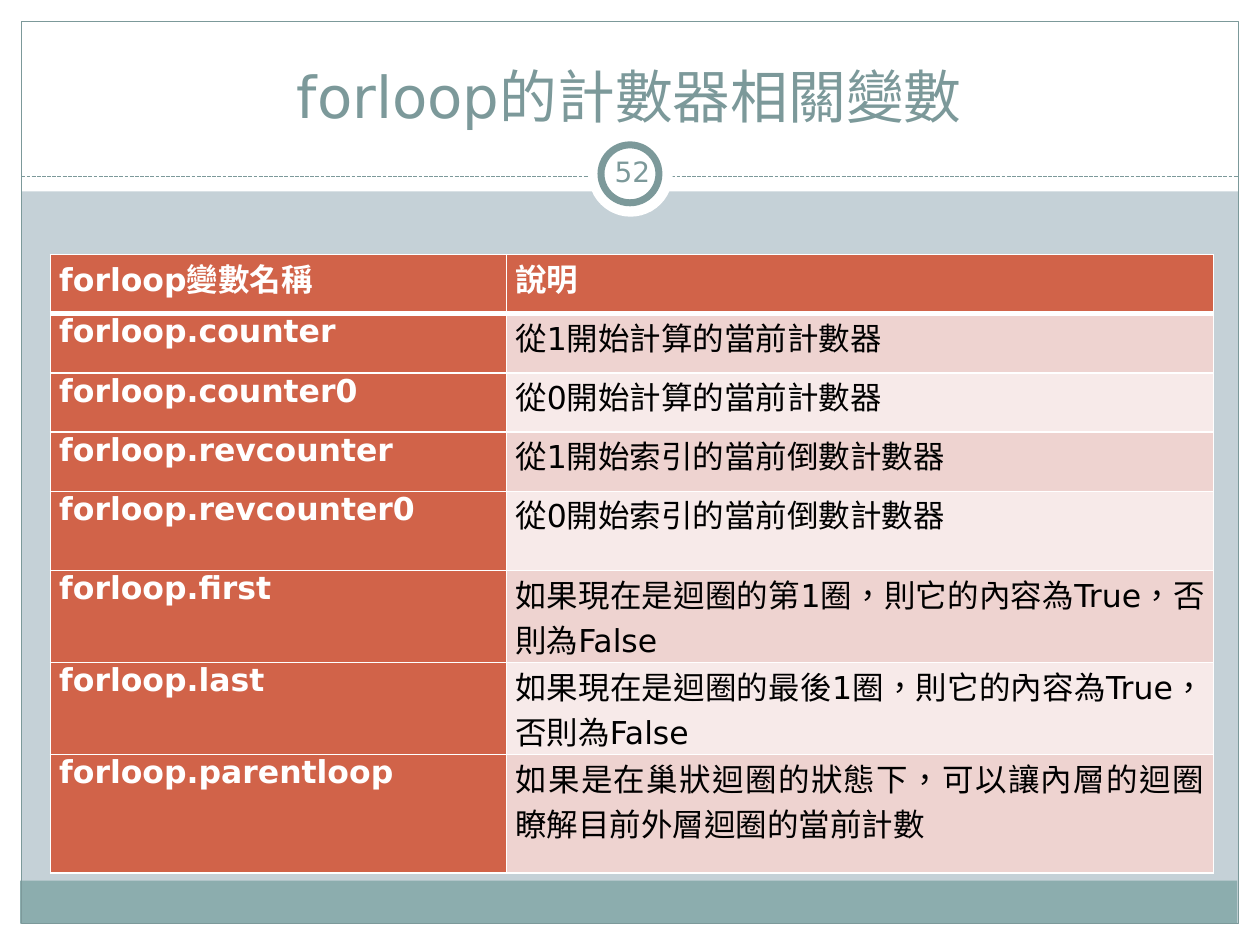
import pptx
import pptx.util
import pptx.dml.color
import pptx.enum.dml
import pptx.enum.lang
import pptx.enum.shapes
import pptx.enum.text
import pptx.oxml
import pptx.oxml.ns

Inches = pptx.util.Inches
Pt = pptx.util.Pt
Align = pptx.enum.text.PP_ALIGN
Anchor = pptx.enum.text.MSO_ANCHOR
ShapeKind = pptx.enum.shapes.MSO_SHAPE

FONT = "DejaVu Sans"
LANGUAGE = pptx.enum.lang.MSO_LANGUAGE_ID.from_xml("zh-TW")
WHITE, TEAL, BAR, BACKGROUND = "FFFFFF", "7C999A", "8CADAE", "C5D1D7"
ACCENT, BLACK = "D16349", "000000"
BANDS = ["EED3D0", "F7EAE9"]

TITLE = "forloop的計數器相關變數"
PAGE_NUMBER = "52"
ROWS = [
    ("forloop變數名稱", "說明"),
    ("forloop.counter", "從1開始計算的當前計數器"),
    ("forloop.counter0", "從0開始計算的當前計數器"),
    ("forloop.revcounter", "從1開始索引的當前倒數計數器"),
    ("forloop.revcounter0", "從0開始索引的當前倒數計數器"),
    ("forloop.first", "如果現在是迴圈的第1圈，則它的內容為True，否則為False"),
    ("forloop.last", "如果現在是迴圈的最後1圈，則它的內容為True，否則為False"),
    ("forloop.parentloop", "如果是在巢狀迴圈的狀態下，可以讓內層的迴圈瞭解目前外層迴圈的當前計數"),
]
COLUMN_WIDTHS = [3.62, 5.61]
ROW_HEIGHTS = [0.47, 0.47, 0.47, 0.47, 0.63, 0.73, 0.73, 0.94]
TABLE_LEFT, TABLE_TOP = 0.4, 2.02

DECORATIONS = [
    (ShapeKind.RECTANGLE, (0, 7.33, 10, 0.17), WHITE, None),
    (ShapeKind.RECTANGLE, (0, 0, 10, 1.52), WHITE, None),
    (ShapeKind.RECTANGLE, (0, 0, 0.17, 7.5), WHITE, None),
    (ShapeKind.RECTANGLE, (9.83, 0, 0.17, 7.5), WHITE, None),
    (ShapeKind.RECTANGLE, (0.16, 6.99, 9.66, 0.34), BAR, None),
    (ShapeKind.RECTANGLE, (0.17, 0.17, 9.66, 7.16), None, 0.75),
]
BADGE = [
    (ShapeKind.OVAL, (4.67, 1.05, 0.67, 0.67), WHITE, None),
    (ShapeKind.OVAL, (4.77, 1.15, 0.46, 0.46), WHITE, 4),
]


def color(value):
    return pptx.dml.color.RGBColor.from_string(value)


def set_fill(fill, value):
    if value is None:
        fill.background()
    else:
        fill.solid()
        fill.fore_color.rgb = color(value)


def set_format(target, values):
    for name, value in values.items():
        setattr(target, name, value)


def write(text_frame, text, size, text_color, alignment, bold=False):
    paragraph = text_frame.paragraphs[0]
    paragraph.alignment = alignment
    run = paragraph.add_run()
    run.text = text
    set_format(run.font, {
        "name": FONT, "size": Pt(size), "bold": bold, "language_id": LANGUAGE,
    })
    run.font.color.rgb = color(text_color)


def add_decorations(slide, decorations):
    for kind, box, fill, line_width in decorations:
        shape = slide.shapes.add_shape(kind, *map(Inches, box))
        shape.shadow.inherit = False
        set_fill(shape.fill, fill)
        set_fill(shape.line.fill, TEAL if line_width else None)
        if line_width:
            shape.line.width = Pt(line_width)


def add_divider(slide):
    divider = slide.shapes.add_connector(
        pptx.enum.shapes.MSO_CONNECTOR.STRAIGHT,
        *map(Inches, (0.17, 1.4, 9.83, 1.4)))
    divider.line.color.rgb = color(TEAL)
    set_format(divider.line, {
        "width": Pt(0.75),
        "dash_style": pptx.enum.dml.MSO_LINE.SQUARE_DOT,
    })
    properties = divider.element.find(pptx.oxml.ns.qn("p:spPr"))
    properties.append(pptx.oxml.parse_xml(
        f'<a:effectLst {pptx.oxml.ns.nsdecls("a")}/>'))


def add_title(slide):
    title = slide.shapes.title
    title.element.getparent().append(title.element)
    set_format(title, dict(zip(("left", "top", "width", "height"),
                               map(Inches, (0.33, 0.25, 9.33, 0.83)))))
    title.text_frame.vertical_anchor = Anchor.BOTTOM
    write(title.text_frame, TITLE, 33, TEAL, Align.CENTER)


def add_page_number(slide):
    box = slide.shapes.add_textbox(*map(Inches, (4.77, 1.12, 0.5, 0.48)))
    margins = ("margin_left", "margin_top", "margin_right", "margin_bottom")
    set_format(box.text_frame, {
        "word_wrap": True,
        "vertical_anchor": Anchor.MIDDLE,
        **dict.fromkeys(margins, Inches(0.05)),
    })
    write(box.text_frame, PAGE_NUMBER, 16, TEAL, Align.CENTER)


def set_borders(cell, widths):
    properties = cell._tc.get_or_add_tcPr()
    for side, width in widths.items():
        properties.append(pptx.oxml.parse_xml(
            f'<a:ln{side} {pptx.oxml.ns.nsdecls("a")} w="{Pt(width)}">'
            f'<a:solidFill><a:srgbClr val="{WHITE}"/></a:solidFill></a:ln{side}>'))


def add_variable_table(slide):
    table = slide.shapes.add_table(
        len(ROWS), len(COLUMN_WIDTHS), Inches(TABLE_LEFT), Inches(TABLE_TOP),
        Inches(sum(COLUMN_WIDTHS)), Inches(sum(ROW_HEIGHTS))).table
    for column, width in zip(table.columns, COLUMN_WIDTHS):
        column.width = Inches(width)
    for row, height in zip(table.rows, ROW_HEIGHTS):
        row.height = Inches(height)
    for row_index, texts in enumerate(ROWS):
        for column_index, text in enumerate(texts):
            cell = table.cell(row_index, column_index)
            heading = row_index == 0 or column_index == 0
            set_format(cell, {
                "margin_left": Inches(0.07), "margin_right": Inches(0.07),
                "margin_top": 0, "margin_bottom": 0,
            })
            set_borders(cell, {
                "L": 1, "R": 1,
                "T": 3 if row_index == 1 else 1,
                "B": 3 if row_index == 0 else 1,
            })
            set_fill(cell.fill, ACCENT if heading else BANDS[(row_index - 1) % 2])
            write(cell.text_frame, text, 18, WHITE if heading else BLACK,
                  Align.JUSTIFY, heading)


def main():
    presentation = pptx.Presentation()
    set_format(presentation, {"slide_width": Inches(10), "slide_height": Inches(7.5)})
    slide = presentation.slides.add_slide(presentation.slide_layouts[5])
    set_fill(slide.background.fill, BACKGROUND)
    add_decorations(slide, DECORATIONS)
    add_divider(slide)
    add_decorations(slide, BADGE)
    add_title(slide)
    add_page_number(slide)
    add_variable_table(slide)
    presentation.save("out.pptx")


if __name__ == "__main__":
    main()
